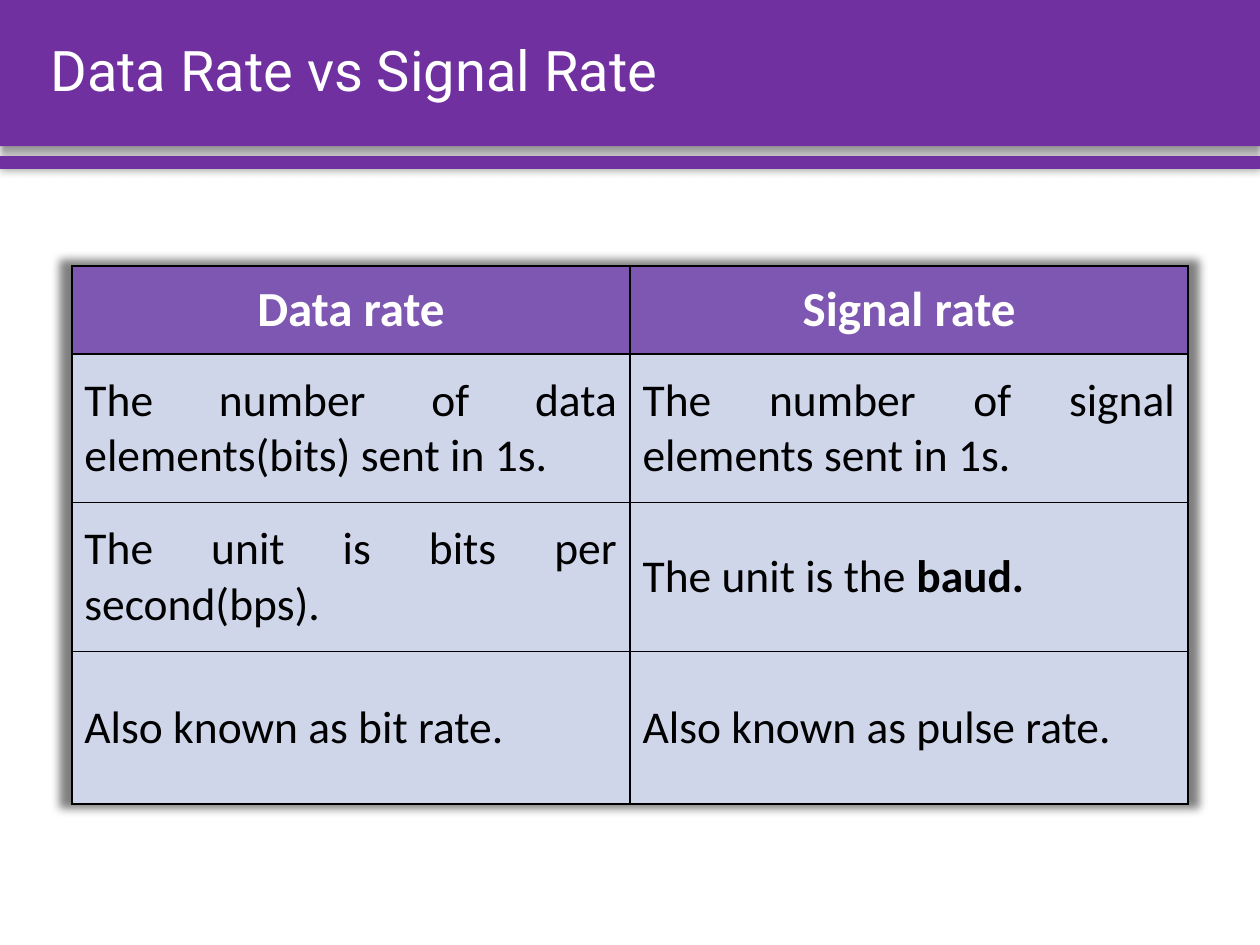
"""Build a slide that compares data rate with signal rate in a table."""
from typing import NamedTuple

from lxml.etree import SubElement
from pptx import Presentation
from pptx.dml.color import RGBColor
from pptx.enum.shapes import MSO_SHAPE as Preset
from pptx.enum.text import MSO_ANCHOR as Anchor, PP_ALIGN as Align
from pptx.oxml import parse_xml
from pptx.oxml.ns import nsdecls, qn
from pptx.util import Inches, Pt

PURPLE = RGBColor(0x70, 0x30, 0xA0)
WHITE = RGBColor(0xFF, 0xFF, 0xFF)
BLACK = RGBColor(0x00, 0x00, 0x00)
TABLE_BACK = RGBColor(0x9B, 0xAB, 0xD5)
TABLE_LEFT, TABLE_TOP = 0.57, 2.11
COLUMN_WIDTH = 4.43
ROW_HEIGHTS = (0.7, 1.18, 1.18, 1.21)


class Shadow(NamedTuple):
    opacity: int
    blur: float
    distance: float = 0
    angle: int = 0
    scale: int = 100


class Panel(NamedTuple):
    left: float
    top: float
    width: float
    height: float
    fill: RGBColor
    shadow: Shadow


class CellStyle(NamedTuple):
    fill: RGBColor
    opacity: int
    size: int
    color: RGBColor
    bold: bool
    align: Align


HEADER = CellStyle(PURPLE, 68, 28, WHITE, True, Align.CENTER)
BODY = CellStyle(WHITE, 52, 26, BLACK, False, Align.JUSTIFY)

PANELS = (
    Panel(0, 0, 10, 1.16, PURPLE, Shadow(40, 4, 3, 90)),
    Panel(0, 1.24, 10, 0.1, PURPLE, Shadow(40, 5)),
    Panel(TABLE_LEFT, TABLE_TOP, 2 * COLUMN_WIDTH, sum(ROW_HEIGHTS),
          TABLE_BACK, Shadow(50, 5, scale=102)),
)

ROWS = (
    (("Data rate",), ("Signal rate",)),
    (("The number of data elements(bits) sent in 1s.",),
     ("The number of signal elements sent in 1s.",)),
    (("The unit is bits per second(bps).",), ("The unit is the ", "baud.")),
    (("Also known as bit rate.",), ("Also known as pulse rate.",)),
)


def add_panel(slide, panel: Panel) -> None:
    shape = slide.shapes.add_shape(
        Preset.RECTANGLE, *(Inches(length) for length in panel[:4]))
    shape.fill.solid()
    shape.fill.fore_color.rgb = panel.fill
    shape.line.fill.background()
    shape.shadow.inherit = False
    shadow = panel.shadow
    effects = shape.element.spPr.find(qn("a:effectLst"))
    effects.append(parse_xml(
        f'<a:outerShdw {nsdecls("a")} blurRad="{Pt(shadow.blur)}" '
        f'dist="{Pt(shadow.distance)}" dir="{shadow.angle * 60000}" '
        f'sx="{shadow.scale * 1000}" sy="{shadow.scale * 1000}" '
        f'algn="ctr" rotWithShape="0"><a:srgbClr val="{BLACK}">'
        f'<a:alpha val="{shadow.opacity * 1000}"/></a:srgbClr></a:outerShdw>'))
    slide.shapes.title.element.addprevious(shape.element)


def format_title(slide) -> None:
    title = slide.shapes.title
    title.left, title.top = Inches(0.3), Inches(0)
    title.width, title.height = Inches(9.46), Inches(1.16)
    title.text_frame.text = "Data Rate vs Signal Rate"
    title.text_frame.vertical_anchor = Anchor.MIDDLE
    paragraph = title.text_frame.paragraphs[0]
    paragraph.alignment = Align.LEFT
    paragraph.line_spacing = 0.9
    font = paragraph.runs[0].font
    font.name, font.size = "Roboto", Pt(32)
    font.color.rgb = WHITE


def fill_cell(cell, texts: tuple[str, ...], style: CellStyle) -> None:
    properties = cell._tc.get_or_add_tcPr()
    for side in ("lnL", "lnR", "lnT", "lnB"):
        properties.append(parse_xml(
            f'<a:{side} {nsdecls("a")} w="{Pt(1)}"><a:solidFill>'
            f'<a:srgbClr val="{BLACK}"/></a:solidFill></a:{side}>'))
    cell.fill.solid()
    cell.fill.fore_color.rgb = style.fill
    color = properties.find(qn("a:solidFill")).find(qn("a:srgbClr"))
    SubElement(color, qn("a:alpha"), val=str(style.opacity * 1000))
    cell.vertical_anchor = Anchor.MIDDLE
    paragraph = cell.text_frame.paragraphs[0]
    paragraph.alignment = style.align
    for index, text in enumerate(texts):
        run = paragraph.add_run()
        run.text = text
        run.font.name, run.font.size = "Calibri", Pt(style.size)
        run.font.bold = style.bold or index > 0
        run.font.color.rgb = style.color


def add_comparison(slide) -> None:
    table = slide.shapes.add_table(
        len(ROWS), 2, Inches(TABLE_LEFT), Inches(TABLE_TOP),
        Inches(2 * COLUMN_WIDTH), Inches(sum(ROW_HEIGHTS))).table
    table.horz_banding = False
    for column in table.columns:
        column.width = Inches(COLUMN_WIDTH)
    for row_index, (row, height) in enumerate(zip(table.rows, ROW_HEIGHTS)):
        row.height = Inches(height)
        style = BODY if row_index else HEADER
        for cell, texts in zip(row.cells, ROWS[row_index]):
            fill_cell(cell, texts, style)


def main() -> None:
    presentation = Presentation()
    presentation.slide_width = Inches(10)
    presentation.slide_height = Inches(7.5)
    slide = presentation.slides.add_slide(presentation.slide_layouts[5])
    format_title(slide)
    for panel in PANELS:
        add_panel(slide, panel)
    add_comparison(slide)
    presentation.save("out.pptx")


main()
